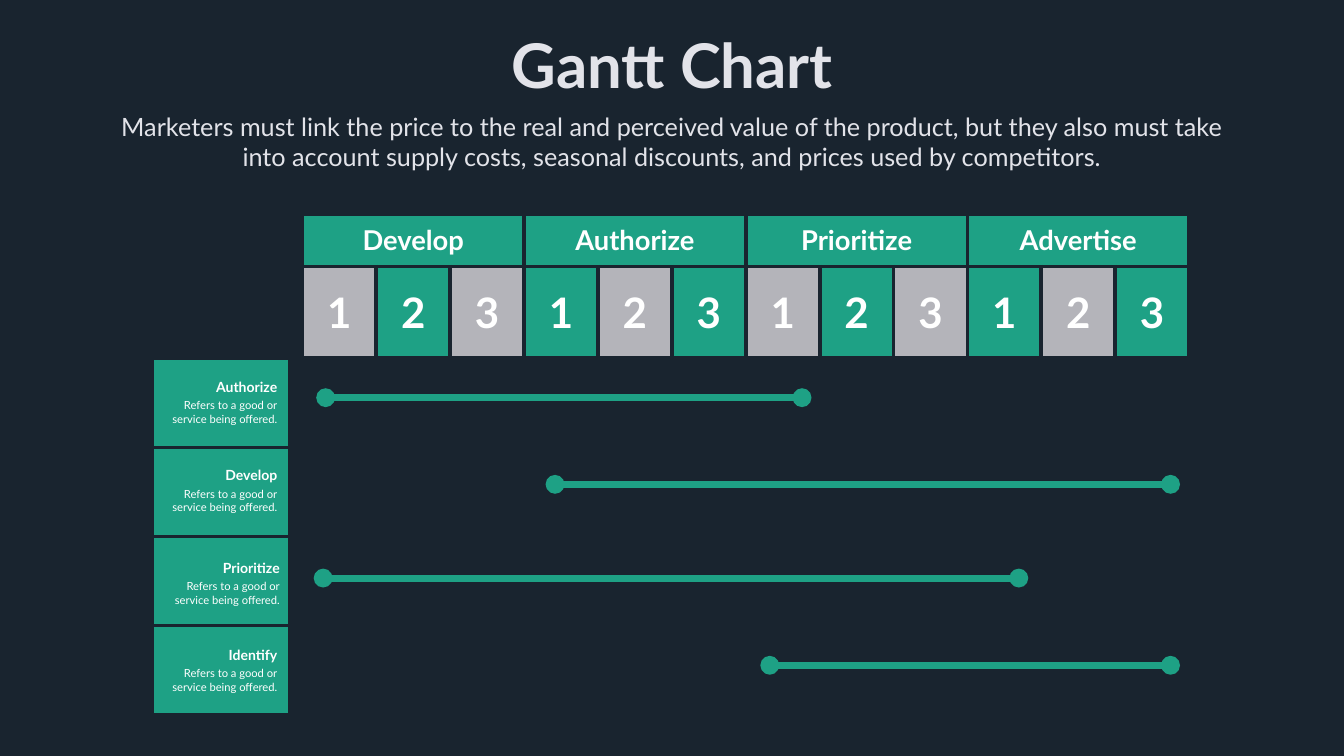
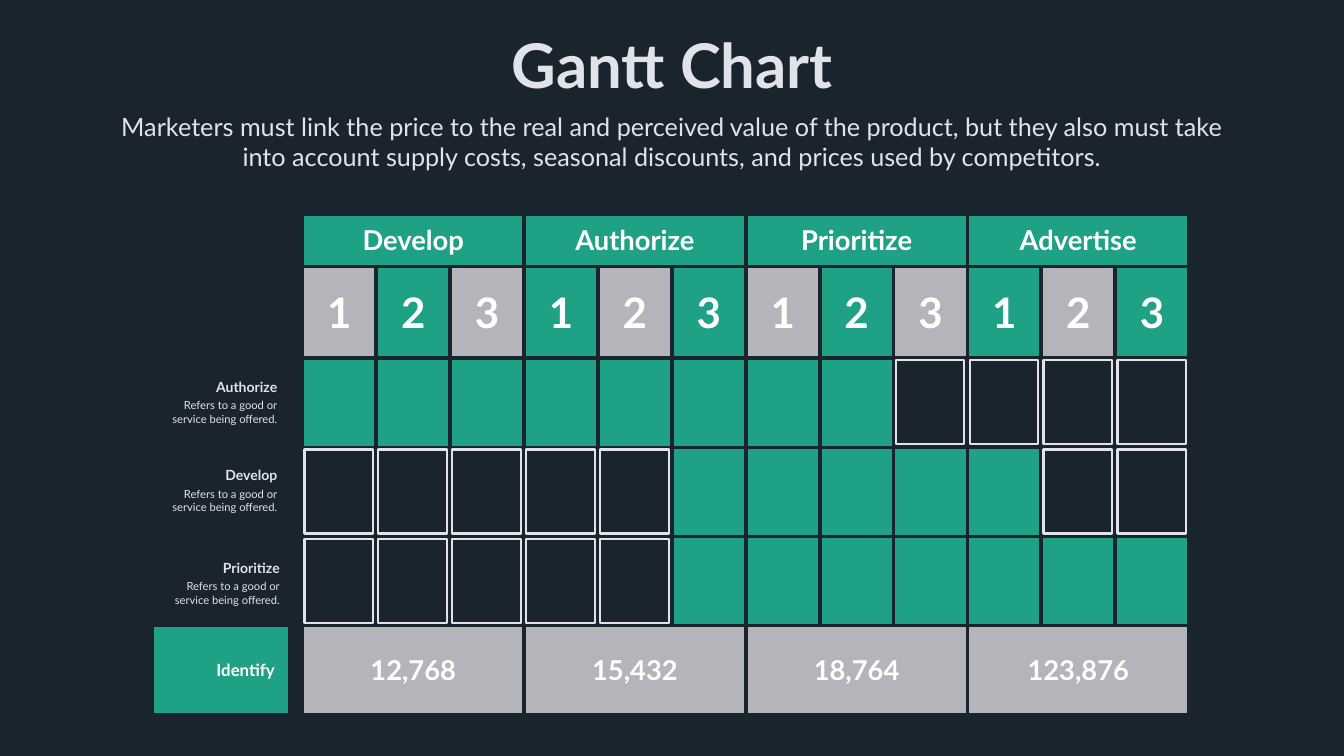
from dataclasses import dataclass

from lxml.etree import SubElement
from pptx import Presentation
from pptx.dml.color import RGBColor
from pptx.enum.shapes import MSO_CONNECTOR, MSO_SHAPE
from pptx.enum.text import MSO_ANCHOR, MSO_AUTO_SIZE, PP_ALIGN
from pptx.oxml.ns import qn
from pptx.util import Pt


@dataclass(frozen=True)
class Theme:
    font: str = "Lato"
    back: str = "19242F"
    light: str = "E2E3E9"
    white: str = "FFFFFF"
    green: str = "1EA185"
    grey: str = "B4B4BA"
    title: int = 88
    intro: int = 36
    phase: int = 39
    month: int = 60
    total: int = 24
    name: int = 20
    note: int = 16


T = Theme()

# Content
TITLE = "Gantt Chart"
INTRO = ("Marketers must link the price to the real and perceived value of the product, "
         "but they also must take into account supply costs, seasonal discounts, "
         "and prices used by competitors.")
PHASES = ["Develop", "Authorize", "Prioritize", "Advertise"]
MONTHS = ["1", "2", "3"]
NOTE = ["Refers to a good or", "service being offered."]
TASKS = [  # name, right edge, top, width of the name
    ("Authorize", 403.2, 537.1, 103),
    ("Develop", 403.2, 663.1, 90),
    ("Prioritize", 406.8, 795.6, 97),
    ("Identify", 403.2, 920.2, 84),
]
BARS = [  # start, end, middle height
    (465.1, 1145.5, 568.1),
    (792.7, 1671.8, 691.9),
    (461.5, 1455.1, 825.8),
    (1099.4, 1671.8, 950.4),
]
BUSY_MONTHS = [(0, 8), (5, 10), (5, 12)]  # first month, month after the last
TOTALS = ["12,768", "15,432", "18,764", "123,876"]

# Layout
SLIDE_W, SLIDE_H = 1919.5, 1080
TITLE_BOX = (717.8, 35.3, 484.6, 113.8)
INTRO_BOX = (159.8, 154.8, 1599.1, 94.3)
TABLE_X, TABLE_Y = 217.4, 305.3
LABEL_W, GAP_W, MONTH_W = 196.5, 18, 105.55
PHASE_H, MONTH_H, TASK_H = 75.6, 131, 127.3
SPAN = len(MONTHS)
MONTH_COUNT = SPAN * len(PHASES)
FIRST_COL, FIRST_ROW = 2, 2
GRID_X = TABLE_X + LABEL_W + GAP_W
GRID_Y = TABLE_Y + PHASE_H + MONTH_H
DOT = 27
NO_STYLE = "{2D5ABB26-0587-4C30-8999-92F81FD0307C}"


def rgb(color):
    return RGBColor.from_string(color)


def pts(*values):
    return [Pt(v) for v in values]


def write(tf, lines, size, color, align, bold=False):
    for i, line in enumerate(lines):
        p = tf.paragraphs[0] if i == 0 else tf.add_paragraph()
        p.alignment = align
        r = p.add_run()
        r.text = line
        r.font.name, r.font.size, r.font.bold = T.font, Pt(size), bold
        r.font.color.rgb = rgb(color)


def add_label(s, box, lines, size, color, bold=False, wrap=False):
    tf = s.shapes.add_textbox(*pts(*box)).text_frame
    tf.word_wrap = wrap
    tf.auto_size = MSO_AUTO_SIZE.SHAPE_TO_FIT_TEXT
    write(tf, lines, size, color, PP_ALIGN.RIGHT, bold)
    return tf


def fill_placeholder(sp, box, text, size, bold):
    sp.left, sp.top, sp.width, sp.height = pts(*box)
    tf = sp.text_frame
    tf.word_wrap = not bold
    tf.auto_size = MSO_AUTO_SIZE.SHAPE_TO_FIT_TEXT
    tf.vertical_anchor = MSO_ANCHOR.TOP
    pPr = tf.paragraphs[0]._p.get_or_add_pPr()
    pPr.set("marL", "0")
    pPr.set("indent", "0")
    SubElement(pPr, qn("a:buNone"))
    tf.paragraphs[0].space_before = Pt(0)
    write(tf, [text], size, T.light, PP_ALIGN.CENTER, bold)


def add_borders(cell):
    tcPr = cell._tc.get_or_add_tcPr()
    for side in ("lnL", "lnR", "lnT", "lnB"):
        ln = SubElement(tcPr, qn("a:" + side), w=str(Pt(6)))
        fill = SubElement(ln, qn("a:solidFill"))
        SubElement(fill, qn("a:srgbClr"), val=T.back)


def paint(cell, color):
    cell.fill.solid()
    cell.fill.fore_color.rgb = rgb(color)


def fill_cell(cell, text, size, color):
    paint(cell, color)
    cell.vertical_anchor = MSO_ANCHOR.MIDDLE
    cell.margin_left = cell.margin_right = Pt(7.9)
    write(cell.text_frame, [text], size, T.white, PP_ALIGN.CENTER, True)


def fill_phases(table, row, texts, color):
    """Write one text per phase, each across the months of that phase."""
    for i, text in enumerate(texts):
        col = FIRST_COL + i * SPAN
        table.cell(row, col).merge(table.cell(row, col + SPAN - 1))
        fill_cell(table.cell(row, col), text, T.phase, color)


def add_schedule(s):
    """Add the table with its phase and month headings."""
    widths = [LABEL_W, GAP_W] + [MONTH_W] * MONTH_COUNT
    heights = [PHASE_H, MONTH_H] + [TASK_H] * len(TASKS)
    table = s.shapes.add_table(len(heights), len(widths),
                               *pts(TABLE_X, TABLE_Y, sum(widths), sum(heights))).table
    table.first_row = table.horz_banding = False
    table._tbl.tblPr[0].text = NO_STYLE
    for column, width in zip(table.columns, widths):
        column.width = Pt(width)
    for row, height in zip(table.rows, heights):
        row.height = Pt(height)
    for cell in table.iter_cells():
        add_borders(cell)
        cell.fill.background()
    table.cell(1, 1).merge(table.cell(4, 1))
    fill_phases(table, 0, PHASES, T.green)
    for i in range(MONTH_COUNT):
        fill_cell(table.cell(1, FIRST_COL + i), MONTHS[i % SPAN], T.month,
                  T.green if i % 2 else T.grey)
    return table


def add_tasks(s, tasks, color):
    for name, right, top, width in tasks:
        add_label(s, (right - 167.8, top + 28.8, 167.8, 46), NOTE, T.note, color, wrap=True)
        add_label(s, (right - width, top, width, 31.5), [name], T.name, color, bold=True)


def add_bar(s, start, end, y):
    line = s.shapes.add_connector(MSO_CONNECTOR.STRAIGHT, *pts(start, y, end - 8, y))
    line.line.width = Pt(10)
    line.line.color.rgb = rgb(T.green)
    SubElement(line._element.spPr, qn("a:effectLst"))
    for x in (start, end):
        dot = s.shapes.add_shape(MSO_SHAPE.OVAL, *pts(x - DOT / 2, y - DOT / 2, DOT, DOT))
        dot.shadow.inherit = False
        dot.fill.solid()
        dot.fill.fore_color.rgb = rgb(T.green)
        dot.line.fill.background()


def add_free_month(s, row, month):
    sp = s.shapes.add_shape(MSO_SHAPE.RECTANGLE, *pts(
        GRID_X + month * MONTH_W + 3, GRID_Y + row * TASK_H + 3, 98, 120))
    sp.shadow.inherit = False
    sp.fill.background()
    sp.line.width = Pt(3)
    sp.line.color.rgb = rgb(T.light)


def add_slide(prs):
    s = prs.slides.add_slide(prs.slide_layouts[1])
    fill_placeholder(s.shapes.title, TITLE_BOX, TITLE, T.title, True)
    fill_placeholder(s.placeholders[1], INTRO_BOX, INTRO, T.intro, False)
    return s, add_schedule(s)


def build_bar_slide(prs):
    s, table = add_slide(prs)
    for row in range(FIRST_ROW, FIRST_ROW + len(TASKS)):
        paint(table.cell(row, 0), T.green)
        table.cell(row, FIRST_COL).merge(table.cell(row, FIRST_COL + MONTH_COUNT - 1))
    add_tasks(s, TASKS, T.white)
    for bar in BARS:
        add_bar(s, *bar)


def build_month_slide(prs):
    s, table = add_slide(prs)
    for row, (first, stop) in enumerate(BUSY_MONTHS):
        for month in range(MONTH_COUNT):
            if first <= month < stop:
                paint(table.cell(FIRST_ROW + row, FIRST_COL + month), T.green)
            else:
                add_free_month(s, row, month)
    total_row = FIRST_ROW + len(BUSY_MONTHS)
    paint(table.cell(total_row, 0), T.green)
    fill_phases(table, total_row, TOTALS, T.grey)
    add_tasks(s, TASKS[:-1], T.light)
    tf = add_label(s, (301, 938.9, 98.6, 36), [TASKS[-1][0]], T.total, T.white, bold=True)
    tf.vertical_anchor = MSO_ANCHOR.MIDDLE


def main():
    prs = Presentation()
    prs.slide_width, prs.slide_height = pts(SLIDE_W, SLIDE_H)
    back = prs.slide_master.background.fill
    back.solid()
    back.fore_color.rgb = rgb(T.back)
    build_bar_slide(prs)
    build_month_slide(prs)
    prs.save("out.pptx")


if __name__ == "__main__":
    main()
